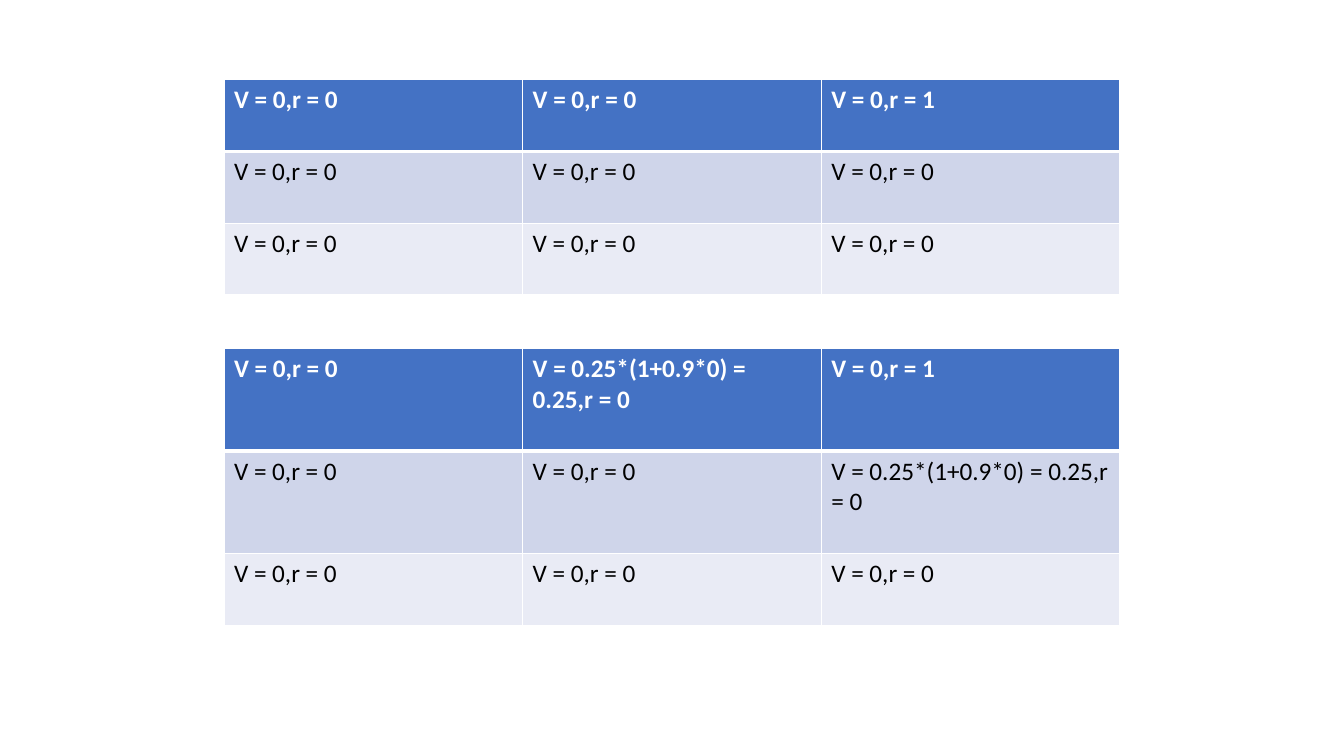
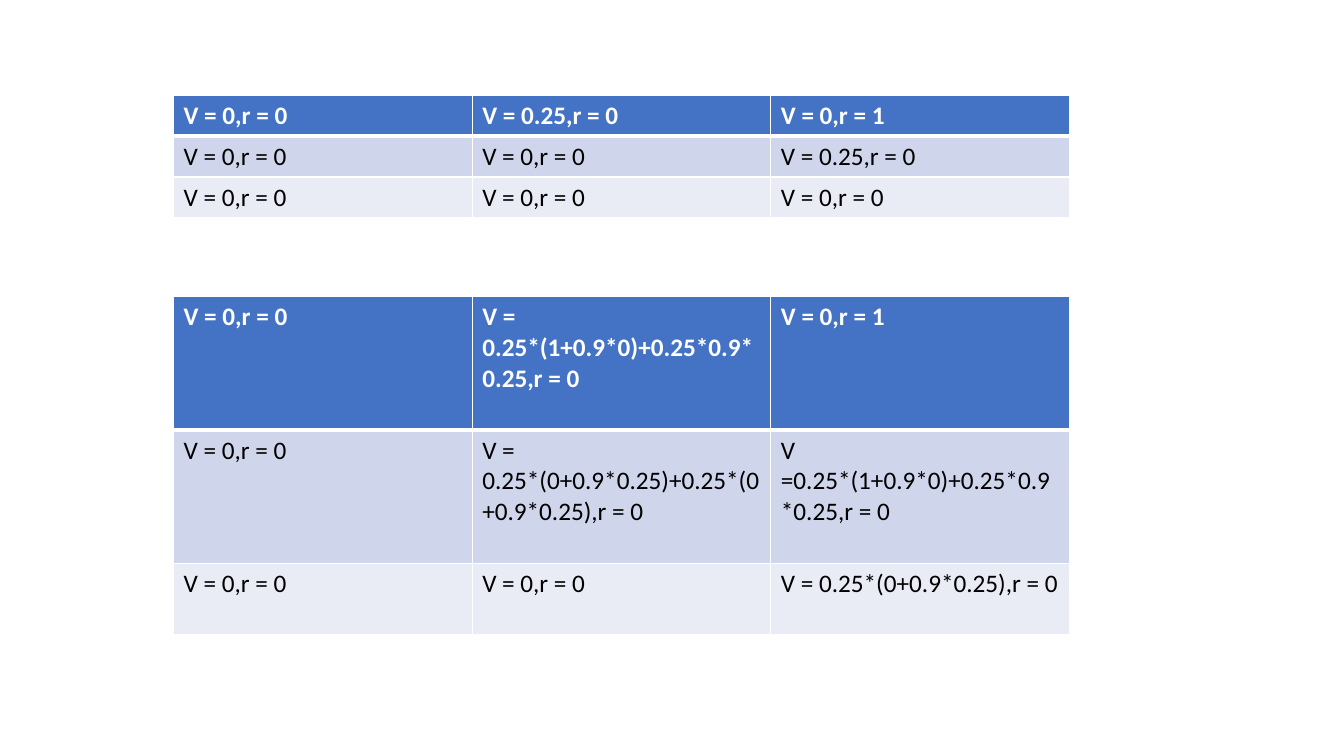
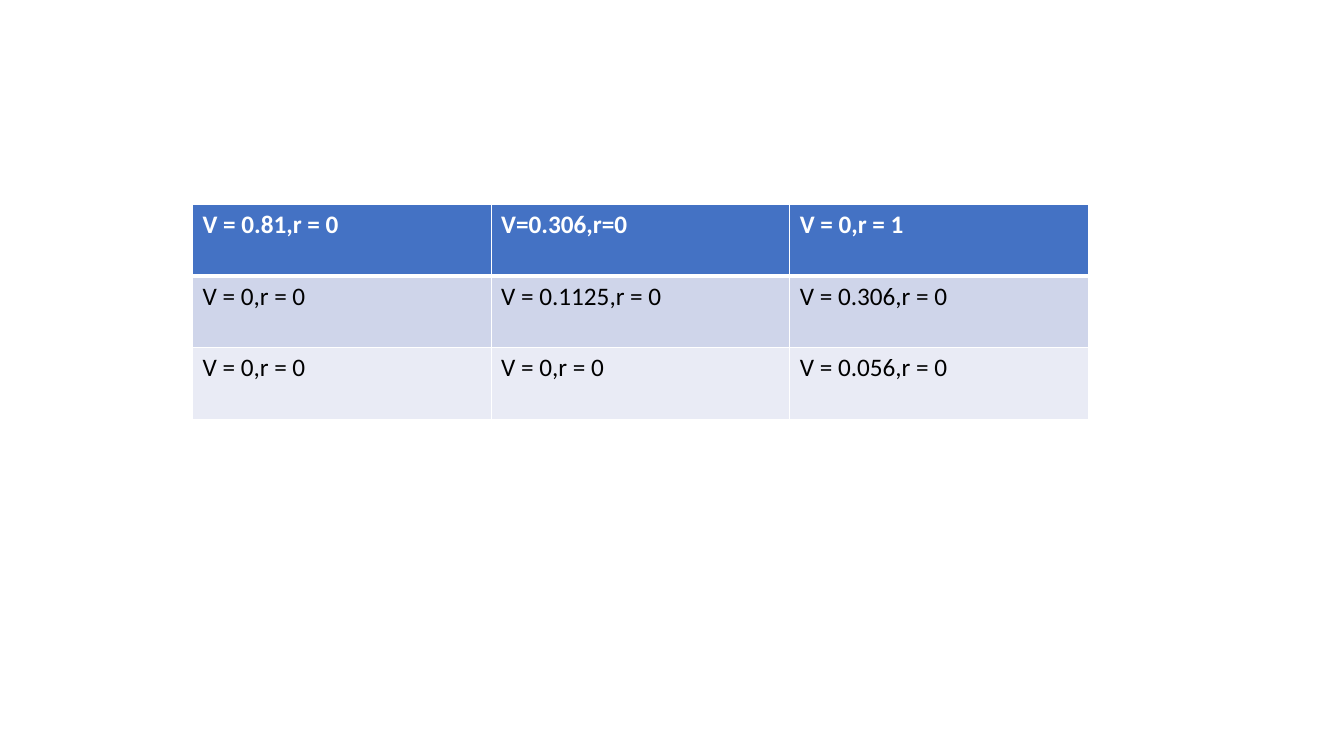
from lxml import etree
from pptx import Presentation
from pptx.dml.color import RGBColor
from pptx.oxml.ns import qn
from pptx.util import Pt

WHITE = RGBColor(0xFF, 0xFF, 0xFF)
BLACK = RGBColor(0x00, 0x00, 0x00)
FILLS = [
    RGBColor(0x44, 0x72, 0xC4),
    RGBColor(0xCF, 0xD5, 0xEA),
    RGBColor(0xE9, 0xEB, 0xF5),
]
FONT = "Calibri"
SIZE = 18
COL = 213.33
LINE = 22
PAD = 7.2

ZERO = "V = 0,r = 0"
GOAL = "V = 0,r = 1"
STEP = "V = 0.25*(1+0.9*0) = 0.25,r = 0"


def add_edges(cell, row):
    props = cell._tc.get_or_add_tcPr()
    widths = {"L": 1, "R": 1, "T": 3 if row == 1 else 1, "B": 3 if row == 0 else 1}
    for side, width in widths.items():
        edge = etree.SubElement(props, qn(f"a:ln{side}"), w=str(Pt(width)))
        fill = etree.SubElement(edge, qn("a:solidFill"))
        etree.SubElement(fill, qn("a:srgbClr"), val=str(WHITE))


def add_grid(slide, left, top, lines, rows):
    highs = [PAD + LINE * count for count in lines]
    frame = slide.shapes.add_table(
        len(rows), len(rows[0]), Pt(left), Pt(top), Pt(COL * len(rows[0])), Pt(sum(highs))
    )
    table = frame.table
    for col in table.columns:
        col.width = Pt(COL)
    for i, texts in enumerate(rows):
        table.rows[i].height = Pt(highs[i])
        for j, text in enumerate(texts):
            cell = table.cell(i, j)
            add_edges(cell, i)
            cell.fill.solid()
            cell.fill.fore_color.rgb = FILLS[i]
            run = cell.text_frame.paragraphs[0].add_run()
            run.text = text
            run.font.name = FONT
            run.font.size = Pt(SIZE)
            run.font.bold = i == 0
            run.font.color.rgb = WHITE if i == 0 else BLACK


SLIDES = [
    [
        (160, 57, [2, 2, 2], [
            [ZERO, ZERO, GOAL],
            [ZERO, ZERO, ZERO],
            [ZERO, ZERO, ZERO],
        ]),
        (160, 249, [3, 3, 2], [
            [ZERO, STEP, GOAL],
            [ZERO, ZERO, STEP],
            [ZERO, ZERO, ZERO],
        ]),
    ],
    [
        (124, 212, [4, 4, 2], [
            [ZERO, "V = 0.25*(1+0.9*0)+0.25*0.9*0.25,r = 0", GOAL],
            [
                ZERO,
                "V = 0.25*(0+0.9*0.25)+0.25*(0+0.9*0.25),r = 0",
                "V =0.25*(1+0.9*0)+0.25*0.9*0.25,r = 0",
            ],
            [ZERO, ZERO, "V = 0.25*(0+0.9*0.25),r = 0"],
        ]),
        (124, 68, [1, 1, 1], [
            [ZERO, "V = 0.25,r = 0", GOAL],
            [ZERO, ZERO, "V = 0.25,r = 0"],
            [ZERO, ZERO, ZERO],
        ]),
    ],
    [
        (137.5, 146, [2, 2, 2], [
            ["V = 0.81,r = 0", "V=0.306,r=0", GOAL],
            [ZERO, "V = 0.1125,r = 0", "V = 0.306,r = 0"],
            [ZERO, ZERO, "V = 0.056,r = 0"],
        ]),
    ],
]

deck = Presentation()
deck.slide_width = Pt(960)
deck.slide_height = Pt(540)

for grids in SLIDES:
    slide = deck.slides.add_slide(deck.slide_layouts[6])
    for left, top, lines, rows in grids:
        add_grid(slide, left, top, lines, rows)

deck.save("out.pptx")
